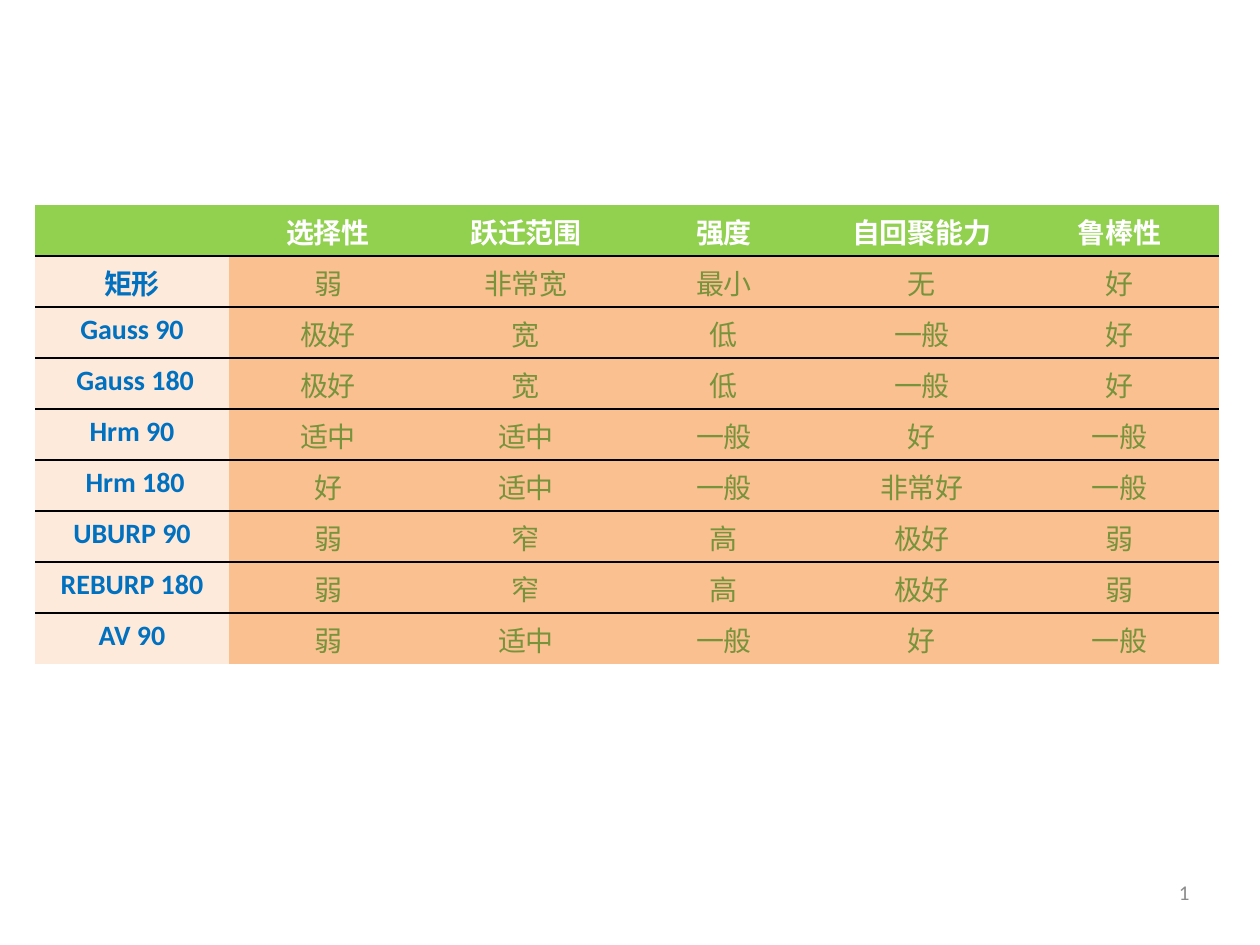
from dataclasses import dataclass

from lxml.etree import SubElement
from pptx import Presentation
from pptx.dml.color import RGBColor
from pptx.enum.text import MSO_ANCHOR, PP_ALIGN
from pptx.oxml import parse_xml
from pptx.oxml.ns import nsdecls, qn
from pptx.util import Pt

PX = 914400 // 126
NO_STYLE = "{2D5ABB26-0587-4C30-8999-92F81FD0307C}"


@dataclass(frozen=True)
class Theme:
    """Colours, fonts and type sizes of the slide."""
    header_fill: str = "92D050"
    label_fill: str = "FDEADA"
    body_fill: str = "FAC090"
    header_text: str = "FFFFFF"
    label_text: str = "0070C0"
    body_text: str = "77933C"
    number_text: str = "8C8C8C"
    rule: str = "000000"
    latin: str = "Calibri"
    cjk: str = "Noto Sans CJK SC"
    table_size: int = 16
    number_size: int = 12


THEME = Theme()

PULSES = [
    ["", "选择性", "跃迁范围", "强度", "自回聚能力", "鲁棒性"],
    ["矩形", "弱", "非常宽", "最小", "无", "好"],
    ["Gauss 90", "极好", "宽", "低", "一般", "好"],
    [" Gauss 180", "极好", "宽", "低", "一般", "好"],
    ["Hrm 90", "适中", "适中", "一般", "好", "一般"],
    [" Hrm 180", "好", "适中", "一般", "非常好", "一般"],
    ["UBURP 90", "弱", "窄", "高", "极好", "弱"],
    ["REBURP 180", "弱", "窄", "高", "极好", "弱"],
    ["AV 90", "弱", "适中", "一般", "好", "一般"],
]


def style_font(font, size, color, bold=False):
    """Set size, colour, weight and the Latin face of a font."""
    font.size = Pt(size)
    font.bold = bold
    font.color.rgb = RGBColor.from_string(color)
    font.name = THEME.latin


def add_rule(cell, side):
    """Draw a 1 pt line along one side of a cell."""
    cell._tc.get_or_add_tcPr().insert(0, parse_xml(
        f'<a:{side} {nsdecls("a")} w="12700"><a:solidFill>'
        f'<a:srgbClr val="{THEME.rule}"/></a:solidFill></a:{side}>'))


def fill_cell(cell, text, fill, color, bold):
    """Write centred text into a filled cell."""
    cell.fill.solid()
    cell.fill.fore_color.rgb = RGBColor.from_string(fill)
    p = cell.text_frame.paragraphs[0]
    p.text = text
    p.alignment = PP_ALIGN.CENTER
    style_font(p.font, THEME.table_size, color, bold)
    for r in p.runs:
        style_font(r.font, THEME.table_size, color, bold)
        if not text.isascii():
            r.font.name = THEME.cjk
            SubElement(r.font._element, qn("a:ea"), typeface=THEME.cjk)


def add_pulse_table(s, rows, x, y, w, h, label_w):
    """Place the comparison table in its box, with equal value columns."""
    n_rows, n_cols = len(rows), len(rows[0])
    table = s.shapes.add_table(
        n_rows, n_cols, x * PX, y * PX, w * PX, h * PX).table
    table._tbl.tblPr.find(qn("a:tableStyleId")).text = NO_STYLE
    table.horz_banding = False
    for j, column in enumerate(table.columns):
        column.width = (label_w if j == 0 else (w - label_w) // (n_cols - 1)) * PX
    for i, row in enumerate(rows):
        for j, text in enumerate(row):
            cell = table.cell(i, j)
            if i == 0:
                look = THEME.header_fill, THEME.header_text, True
            elif j == 0:
                look = THEME.label_fill, THEME.label_text, True
            else:
                look = THEME.body_fill, THEME.body_text, False
            fill_cell(cell, text, *look)
            if i < n_rows - 1:
                add_rule(cell, "lnB")
            if i > 0:
                add_rule(cell, "lnT")


def add_slide_number(s, x, y, w, h):
    """Place a right-aligned slide number field in its box."""
    tf = s.shapes.add_textbox(x * PX, y * PX, w * PX, h * PX).text_frame
    tf.word_wrap = True
    tf.vertical_anchor = MSO_ANCHOR.MIDDLE
    p = tf.paragraphs[0]
    p.alignment = PP_ALIGN.RIGHT
    p._p.append(parse_xml(
        f'<a:fld {nsdecls("a")} id="{{B6F15528-21DE-4FAA-801E-634DDDAF4B2B}}" '
        f'type="slidenum"><a:rPr lang="en-US" sz="{THEME.number_size * 100}">'
        f'<a:solidFill><a:srgbClr val="{THEME.number_text}"/></a:solidFill>'
        f'<a:latin typeface="{THEME.latin}"/></a:rPr><a:t>1</a:t></a:fld>'))


def main():
    """Build and save the slide."""
    prs = Presentation()
    prs.slide_width, prs.slide_height = 1260 * PX, 945 * PX
    s = prs.slides.add_slide(prs.slide_layouts[6])
    add_slide_number(s, x=927, y=859, w=275, h=66)
    add_pulse_table(s, PULSES, x=35, y=205, w=1184, h=459, label_w=194)
    prs.save("out.pptx")


main()
